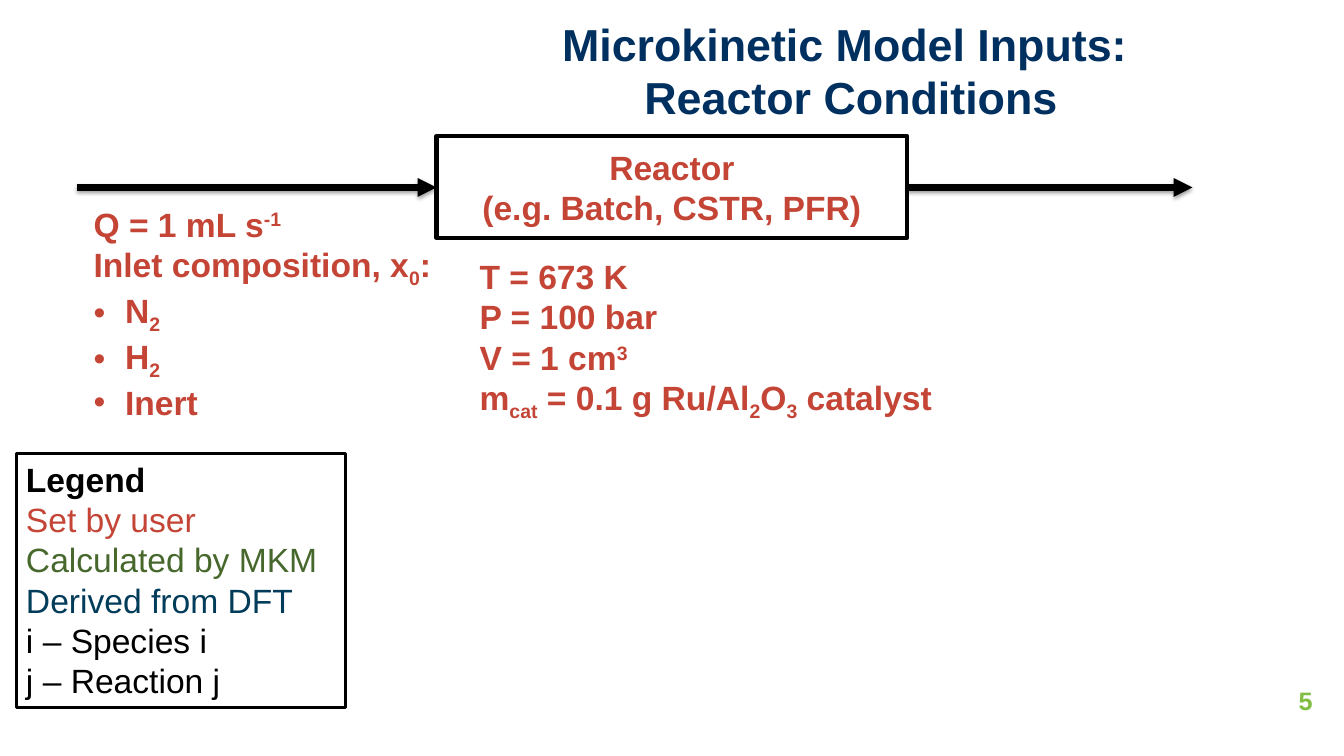
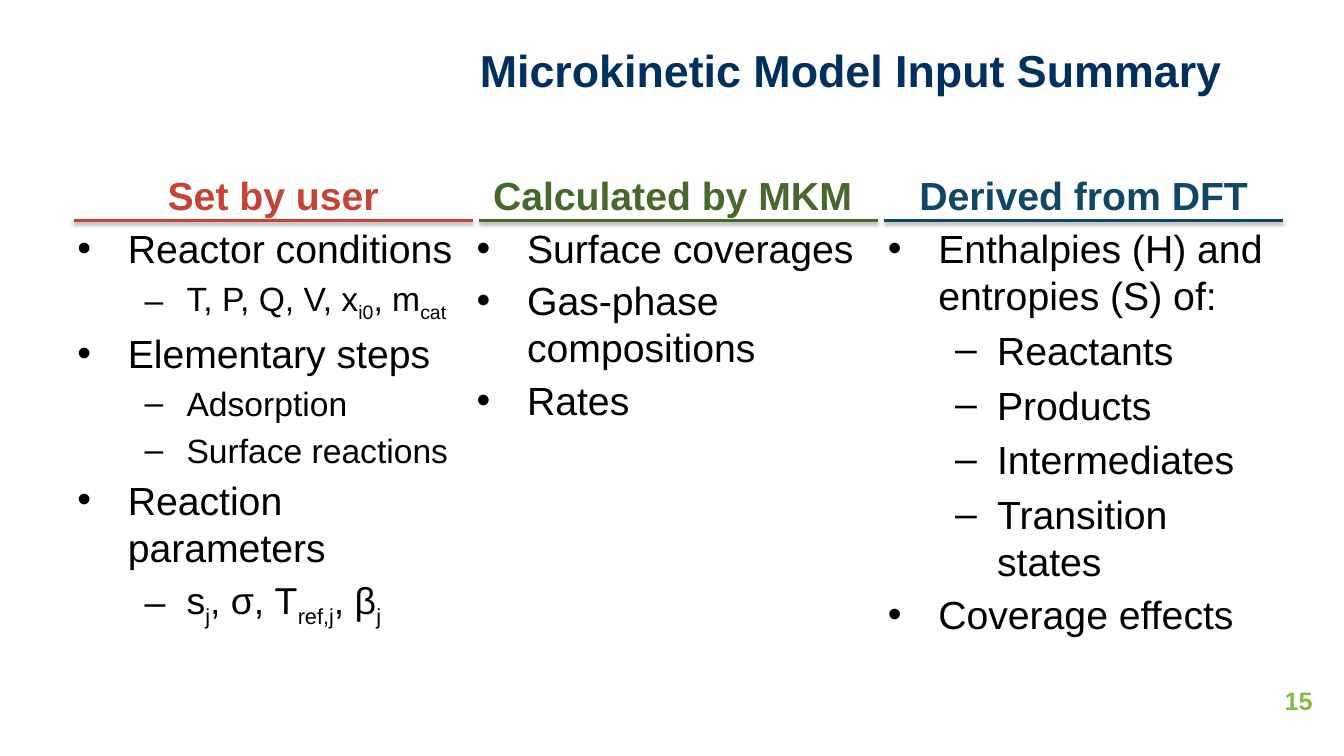
from dataclasses import dataclass

from lxml import etree
from pptx import Presentation
from pptx.dml.color import RGBColor
from pptx.enum.shapes import MSO_CONNECTOR, MSO_SHAPE
from pptx.enum.text import MSO_ANCHOR, PP_ALIGN
from pptx.oxml.ns import qn
from pptx.util import Pt

STRAIGHT = MSO_CONNECTOR.STRAIGHT
RECTANGLE = MSO_SHAPE.RECTANGLE
TOP, MIDDLE = MSO_ANCHOR.TOP, MSO_ANCHOR.MIDDLE
LEFT, CENTER, RIGHT = PP_ALIGN.LEFT, PP_ALIGN.CENTER, PP_ALIGN.RIGHT

FONT = "Arial"
BLACK = RGBColor(0x00, 0x00, 0x00)
NAVY = RGBColor(0x00, 0x30, 0x60)
LIME = RGBColor(0x81, 0xBD, 0x41)
USER_RED = RGBColor(0xC4, 0x45, 0x36)
MKM_GREEN = RGBColor(0x47, 0x68, 0x2C)
DFT_BLUE = RGBColor(0x01, 0x3C, 0x5A)
DFT_HEADING_BLUE = RGBColor(0x10, 0x47, 0x64)

SUBSCRIPT, SUPERSCRIPT = "-25000", "30000"
BREAK = "\n"

TITLE_BOX = (303.8, 5, 608.4, 90)
NUMBER_BOX = (890.6, 486, 54, 28.8)

FLOW_Y = 133.9
REACTOR_BOX = (311.8, 97.2, 336.2, 72.7)
INLET_BOX = (59.8, 141.8, 257, 152.6)
CONDITIONS_BOX = (335.5, 179.3, 348.5, 123.8)
LEGEND_BOX = (11.5, 324, 235.4, 181.4)

COLUMN_TOP, COLUMN_WIDTH, COLUMN_HEIGHT = 118.8, 293.8, 353.5
RULE_Y, RULE_LEFT, RULE_WIDTH, RULE_PITCH = 157.7, 52.6, 285.1, 289.4


@dataclass
class Line:
    """One paragraph; its runs are strings or (text, baseline) pairs."""
    runs: list
    size: float = 24
    color: RGBColor = BLACK
    bold: bool = False
    align: PP_ALIGN = LEFT
    space_before: float = 0
    bullet: str = ""
    indent: float = 0
    hanging: float = 0


def sub(text):
    return text, SUBSCRIPT


def sup(text):
    return text, SUPERSCRIPT


def user_line(*runs, **options):
    return Line(runs, color=USER_RED, bold=True, **options)


def species(*runs):
    return user_line(*runs, bullet="•", indent=22.5, hanging=22.5)


def topic(text):
    return Line([text], size=28, space_before=4, bullet="•",
                indent=36, hanging=36)


def detail(*runs, size=24):
    return Line(runs, size=size, space_before=size * 0.2, bullet="–",
                indent=78, hanging=30)


def add_run(paragraph, line, text, baseline=None):
    run = paragraph.add_run()
    run.text = text
    run.font.name = FONT
    run.font.size = Pt(line.size)
    run.font.bold = line.bold
    run.font.color.rgb = line.color
    if baseline:
        run.font._element.set("baseline", baseline)


def add_bullet(paragraph, line):
    properties = paragraph._p.get_or_add_pPr()
    properties.set("marL", str(Pt(line.indent)))
    properties.set("indent", str(-Pt(line.hanging)))
    etree.SubElement(properties, qn("a:buFont"), typeface=FONT)
    etree.SubElement(properties, qn("a:buChar"), char=line.bullet)


def fill_text(shape, lines, anchor):
    frame = shape.text_frame
    frame.word_wrap = True
    frame.vertical_anchor = anchor
    for index, line in enumerate(lines):
        paragraph = frame.add_paragraph() if index else frame.paragraphs[0]
        paragraph.alignment = line.align
        paragraph.space_before = Pt(line.space_before)
        if line.bullet:
            add_bullet(paragraph, line)
        for run in line.runs:
            if run == BREAK:
                paragraph.add_line_break()
            elif isinstance(run, str):
                add_run(paragraph, line, run)
            else:
                add_run(paragraph, line, *run)


def add_text(slide, box, lines, anchor=TOP):
    fill_text(slide.shapes.add_textbox(*map(Pt, box)), lines, anchor)


def add_frame(slide, box, lines, border, anchor=TOP):
    """Add an unfilled rectangle with a black border and text."""
    shape = slide.shapes.add_shape(RECTANGLE, *map(Pt, box))
    shape.shadow.inherit = False
    shape.fill.background()
    shape.line.color.rgb = BLACK
    shape.line.width = Pt(border)
    fill_text(shape, lines, anchor)


def add_line(slide, left, right, y, color, width, arrow=False):
    """Add a horizontal line with a soft shadow below it."""
    connector = slide.shapes.add_connector(
        STRAIGHT, Pt(left), Pt(y), Pt(right), Pt(y))
    connector.line.color.rgb = color
    connector.line.width = Pt(width)
    if arrow:
        etree.SubElement(connector.line._get_or_add_ln(), qn("a:tailEnd"),
                         type="triangle")
    effects = etree.SubElement(connector._element.spPr, qn("a:effectLst"))
    shadow = etree.SubElement(
        effects, qn("a:outerShdw"), blurRad=str(Pt(3.1)), dist=str(Pt(1.6)),
        dir="5400000", rotWithShape="0")
    shade = etree.SubElement(shadow, qn("a:srgbClr"), val=str(BLACK))
    etree.SubElement(shade, qn("a:alpha"), val="38000")


def add_slide(presentation, number, *title):
    slide = presentation.slides.add_slide(presentation.slide_layouts[6])
    add_text(slide, NUMBER_BOX,
             [Line([number], size=18, color=LIME, bold=True, align=RIGHT)])
    add_text(slide, TITLE_BOX,
             [Line(title, size=32, color=NAVY, bold=True, align=CENTER)],
             MIDDLE)
    return slide


def build_reactor_slide(presentation):
    slide = add_slide(presentation, "5", "Microkinetic Model Inputs: ", BREAK,
                      "Reactor Conditions")
    add_frame(slide, REACTOR_BOX, [
        user_line("Reactor", BREAK, "(e.g. Batch, CSTR, PFR)", align=CENTER),
    ], border=3, anchor=MIDDLE)
    reactor_left, reactor_right = REACTOR_BOX[0], REACTOR_BOX[0] + REACTOR_BOX[2]
    for left, right in ((54.7, reactor_left), (reactor_right, 851.8)):
        add_line(slide, left, right, FLOW_Y, BLACK, 4.5, arrow=True)
    add_text(slide, INLET_BOX, [
        user_line("Q = 1 mL s", sup("-1")),
        user_line("Inlet composition, x", sub("0"), ":"),
        species("N", sub("2")),
        species("H", sub("2")),
        species("Inert"),
    ])
    add_text(slide, CONDITIONS_BOX, [
        user_line("T = 673 K"),
        user_line("P = 100 bar"),
        user_line("V = 1 cm", sup("3")),
        user_line("m", sub("cat"), " = 0.1 g Ru/Al", sub("2"), "O", sub("3"),
                  " catalyst"),
    ])
    add_frame(slide, LEGEND_BOX, [
        Line(["Legend"], bold=True),
        Line(["Set by user"], color=USER_RED),
        Line(["Calculated by MKM"], color=MKM_GREEN),
        Line(["Derived from DFT"], color=DFT_BLUE),
        Line(["i – Species i"]),
        Line(["j – Reaction j"]),
    ], border=2.25)


def build_summary_slide(presentation):
    slide = add_slide(presentation, "15", "Microkinetic Model Input Summary")
    columns = [
        (48.2, "Set by user", USER_RED, [
            topic("Reactor conditions"),
            detail("T, P, Q, V, x", sub("i0"), ", m", sub("cat")),
            topic("Elementary steps"),
            detail("Adsorption"),
            detail("Surface reactions"),
            topic("Reaction parameters"),
            detail("s", sub("j"), ", σ, T", sub("ref,j"), ", β", sub("j"),
                   size=26.7),
        ]),
        (333.4, "Calculated by MKM", MKM_GREEN, [
            topic("Surface coverages"),
            topic("Gas-phase compositions"),
            topic("Rates"),
        ]),
        (627.1, "Derived from DFT", DFT_HEADING_BLUE, [
            topic("Enthalpies (H) and entropies (S) of:"),
            detail("Reactants", size=28),
            detail("Products", size=28),
            detail("Intermediates", size=28),
            detail("Transition states", size=28),
            topic("Coverage effects"),
        ]),
    ]
    for index, (left, heading, color, lines) in enumerate(columns):
        heading_line = Line([heading], size=28, color=color, bold=True,
                            align=CENTER, space_before=4)
        add_text(slide, (left, COLUMN_TOP, COLUMN_WIDTH, COLUMN_HEIGHT),
                 [heading_line, *lines])
        rule_left = RULE_LEFT + index * RULE_PITCH
        add_line(slide, rule_left, rule_left + RULE_WIDTH, RULE_Y, color, 2)


def main():
    presentation = Presentation()
    presentation.slide_width = Pt(960)
    presentation.slide_height = Pt(540)
    build_reactor_slide(presentation)
    build_summary_slide(presentation)
    presentation.save("out.pptx")


if __name__ == "__main__":
    main()
